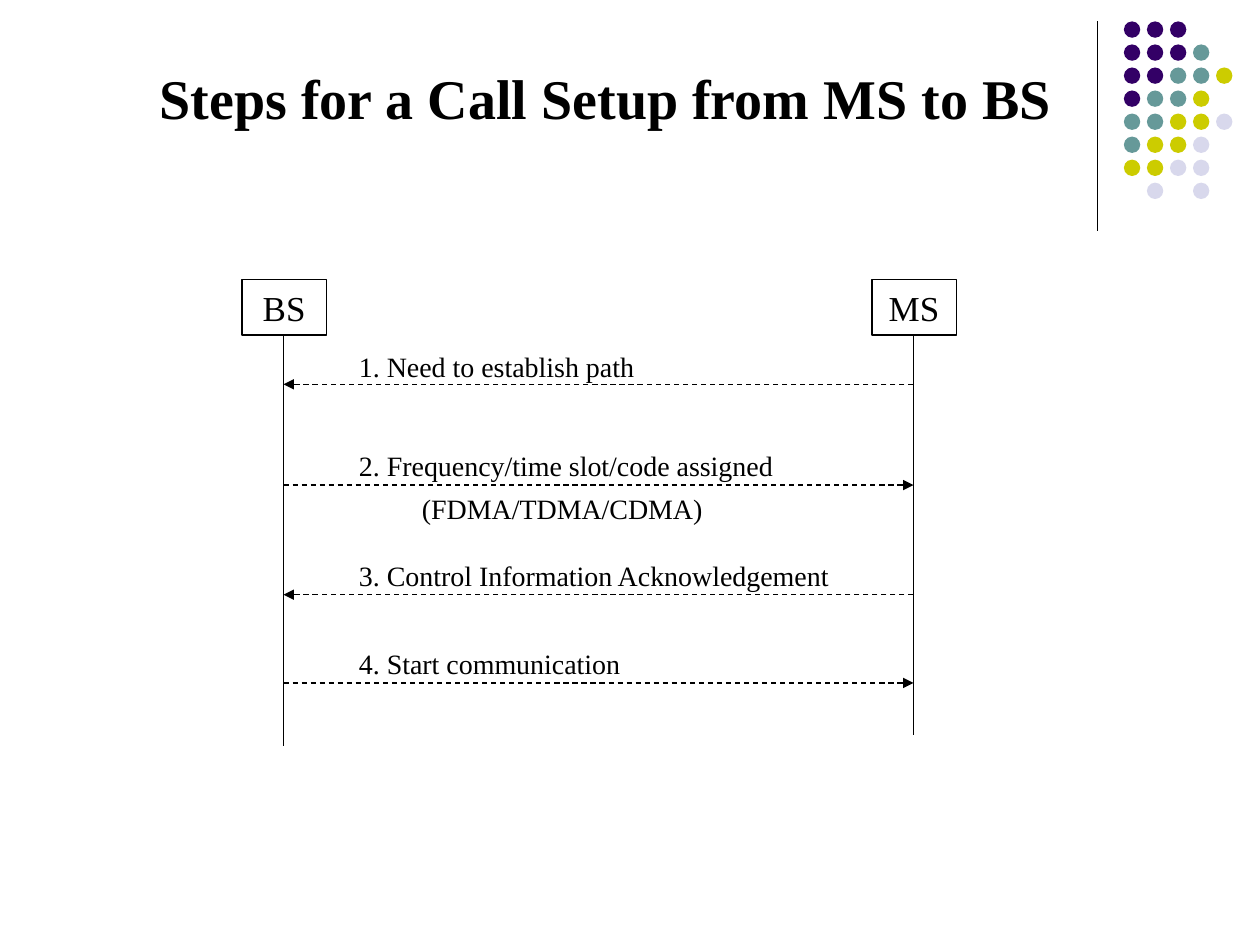
from lxml.etree import SubElement
from pptx import Presentation
from pptx.dml.color import RGBColor
from pptx.enum.dml import MSO_LINE
from pptx.enum.shapes import MSO_CONNECTOR, MSO_SHAPE
from pptx.enum.text import MSO_ANCHOR, PP_ALIGN
from pptx.oxml.ns import qn
from pptx.util import Inches, Pt

BLACK = RGBColor(0x00, 0x00, 0x00)
PURPLE = RGBColor(0x33, 0x00, 0x66)
TEAL = RGBColor(0x66, 0x99, 0x99)
LIME = RGBColor(0xCC, 0xCC, 0x00)
PALE = RGBColor(0xD8, 0xD8, 0xEC)


def write(shape, text, size=16, bold=False, align=PP_ALIGN.LEFT, anchor=MSO_ANCHOR.MIDDLE):
    frame = shape.text_frame
    frame.word_wrap = True
    frame.vertical_anchor = anchor
    para = frame.paragraphs[0]
    para.text = text
    para.alignment = align
    font = para.font
    font.name = "Times New Roman"
    font.size = Pt(size)
    font.bold = bold
    font.color.rgb = BLACK


def link(x1, y1, x2, y2, arrow=False):
    line = shapes.add_connector(
        MSO_CONNECTOR.STRAIGHT, Inches(x1), Inches(y1), Inches(x2), Inches(y2))
    line.line.color.rgb = BLACK
    line.line.width = Pt(0.75)
    if arrow:
        line.line.dash_style = MSO_LINE.DASH
        SubElement(line.line._get_or_add_ln(), qn("a:tailEnd"), type="triangle")
    SubElement(line._element.spPr, qn("a:effectLst"))


deck = Presentation()
deck.slide_width = Inches(10)
deck.slide_height = Inches(7.5)
slide = deck.slides.add_slide(deck.slide_layouts[6])
shapes = slide.shapes

link(8.71, 0.17, 8.71, 1.83)

tints = {"P": PURPLE, "T": TEAL, "L": LIME, "W": PALE}
rows = ["PPP", "PPPT", "PPTTL", "PTTL", "TTLLW", "TLLW", "LLWW", " W W"]
step = 1.28 / 7
group = shapes.add_group_shape()
for row, marks in enumerate(rows):
    for col, mark in enumerate(marks):
        if mark in tints:
            dot = group.shapes.add_shape(
                MSO_SHAPE.OVAL, Inches(8.92 + col * step), Inches(0.17 + row * step),
                Inches(0.13), Inches(0.13))
            dot.fill.solid()
            dot.fill.fore_color.rgb = tints[mark]
            dot.line.fill.background()
            dot.shadow.inherit = False

title = shapes.add_textbox(Inches(1.17), Inches(0.17), Inches(8.5), Inches(0.92))
write(title, "Steps for a Call Setup from MS to BS", size=32, bold=True,
      anchor=MSO_ANCHOR.BOTTOM)

left, right = 2.25, 7.25
for name, x, end in [("BS", left, 5.92), ("MS", right, 5.83)]:
    box = shapes.add_shape(
        MSO_SHAPE.RECTANGLE, Inches(x - 0.33), Inches(2.22), Inches(0.67), Inches(0.44))
    box.fill.background()
    box.line.color.rgb = BLACK
    box.line.width = Pt(0.75)
    box.shadow.inherit = False
    write(box, name, size=20, align=PP_ALIGN.CENTER)
    link(x, 2.67, x, end)

for y, start, end in [(3.05, right, left), (3.85, left, right),
                      (4.72, right, left), (5.42, left, right)]:
    link(start, y, end, y, arrow=True)

labels = [
    ("1. Need to establish path", 2.75, 2.72),
    ("2. Frequency/time slot/code assigned", 2.75, 3.51),
    ("(FDMA/TDMA/CDMA)", 3.25, 3.85),
    ("3. Control Information Acknowledgement", 2.75, 4.38),
    ("4. Start communication", 2.75, 5.08),
]
for text, x, y in labels:
    label = shapes.add_textbox(Inches(x), Inches(y), Inches(7.17 - x), Inches(0.37))
    write(label, text)

deck.save("out.pptx")
